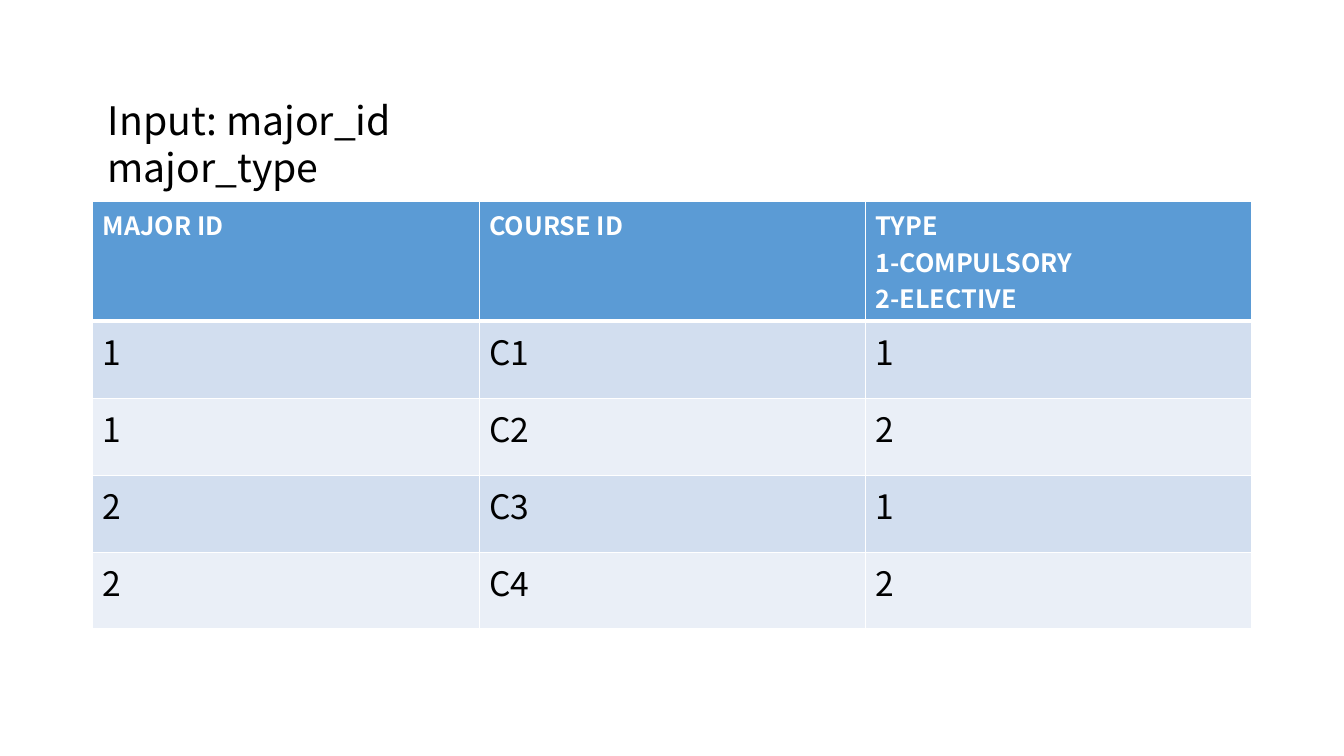
from pptx import Presentation, util as u
from pptx.dml.color import RGBColor
from pptx.enum import text as t
from pptx.oxml import parse_xml
from pptx.oxml.ns import nsdecls

HEAD = ["MAJOR ID", "COURSE ID", "TYPE\n1-COMPULSORY\n2-ELECTIVE"]
ROWS = [["1", "C1", "1"], ["1", "C2", "2"], ["2", "C3", "1"], ["2", "C4", "2"]]


def color(code):
    """Turn a hex string into a colour."""
    return RGBColor.from_string(code)


class Deck:
    """Holds the style and the current slide."""

    font, ink, white = "Noto Sans CJK SC", "000000", "FFFFFF"
    blue, bands = "5B9BD5", ("D2DEEF", "EAEFF7")

    def __init__(self):
        """Open a wide deck with one title-only slide."""
        self.prs = Presentation()
        self.prs.slide_width, self.prs.slide_height = u.Cm(33.87), u.Cm(19.05)
        self.slide = self.prs.slides.add_slide(self.prs.slide_layouts[5])

    def put(self, frame, words, size, ink, bold=False):
        """Fill a text frame, one paragraph for each line."""
        for i, line in enumerate(words.split("\n")):
            para = frame.add_paragraph() if i else frame.paragraphs[0]
            para.alignment = t.PP_ALIGN.LEFT
            run = para.add_run()
            run.text = line
            run.font.name, run.font.size = self.font, u.Pt(size)
            run.font.bold, run.font.color.rgb = bold, color(ink)

    def title(self, words, left, top, width, height):
        """Place and format the title."""
        box = self.slide.shapes.title
        box.left, box.top = u.Cm(left), u.Cm(top)
        box.width, box.height = u.Cm(width), u.Cm(height)
        frame = box.text_frame
        frame.word_wrap, frame.auto_size = True, t.MSO_AUTO_SIZE.NONE
        frame.vertical_anchor = t.MSO_ANCHOR.TOP
        self.put(frame, words, 28, self.ink)
        frame.paragraphs[0].line_spacing = u.Pt(33.6)

    def edge(self, cell, high, low):
        """Draw white cell borders, with top and bottom widths in points."""
        for side, wide in zip("LRTB", (1, 1, high, low)):
            cell._tc.get_or_add_tcPr().append(parse_xml(
                f'<a:ln{side} {nsdecls("a")} w="{u.Pt(wide)}"><a:solidFill>'
                f'<a:srgbClr val="{self.white}"/></a:solidFill></a:ln{side}>'))

    def table(self, head, rows, left, top, width, tall, high):
        """Add a banded table with a header row."""
        grid = self.slide.shapes.add_table(
            len(rows) + 1, len(head), u.Cm(left), u.Cm(top),
            u.Cm(width), u.Cm(tall + high * len(rows))).table
        for r, row in enumerate([head] + rows):
            grid.rows[r].height = u.Cm(high if r else tall)
            fill = self.bands[(r - 1) % 2] if r else self.blue
            look = (24, self.ink) if r else (18, self.white, True)
            for c, words in enumerate(row):
                cell = grid.cell(r, c)
                self.edge(cell, 3 if r == 1 else 1, 1 if r else 3)
                cell.fill.solid()
                cell.fill.fore_color.rgb = color(fill)
                self.put(cell.text_frame, words, *look)


deck = Deck()
deck.title("Input: major_id major_type", 2.46, 2.3, 11.94, 2.6)
deck.table(HEAD, ROWS, 2.34, 5.08, 29.21, 2.97, 1.94)
deck.prs.save("out.pptx")
